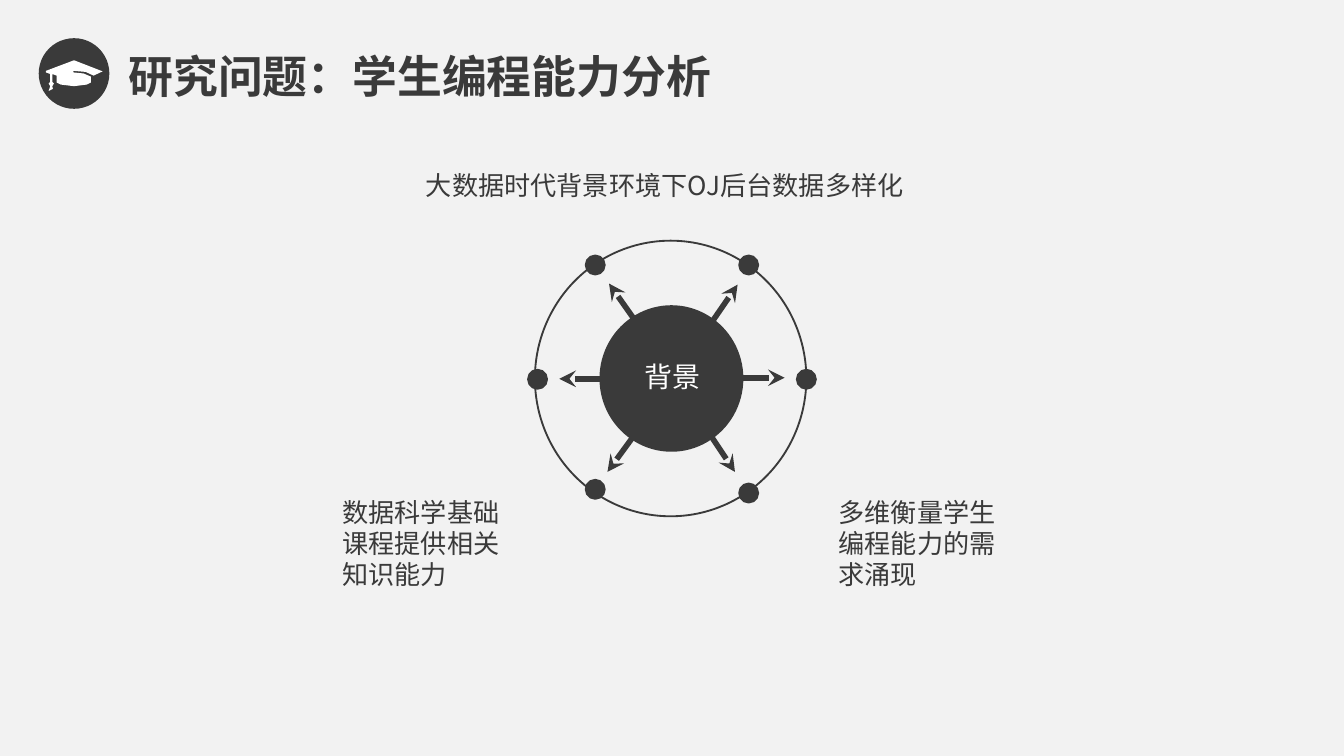
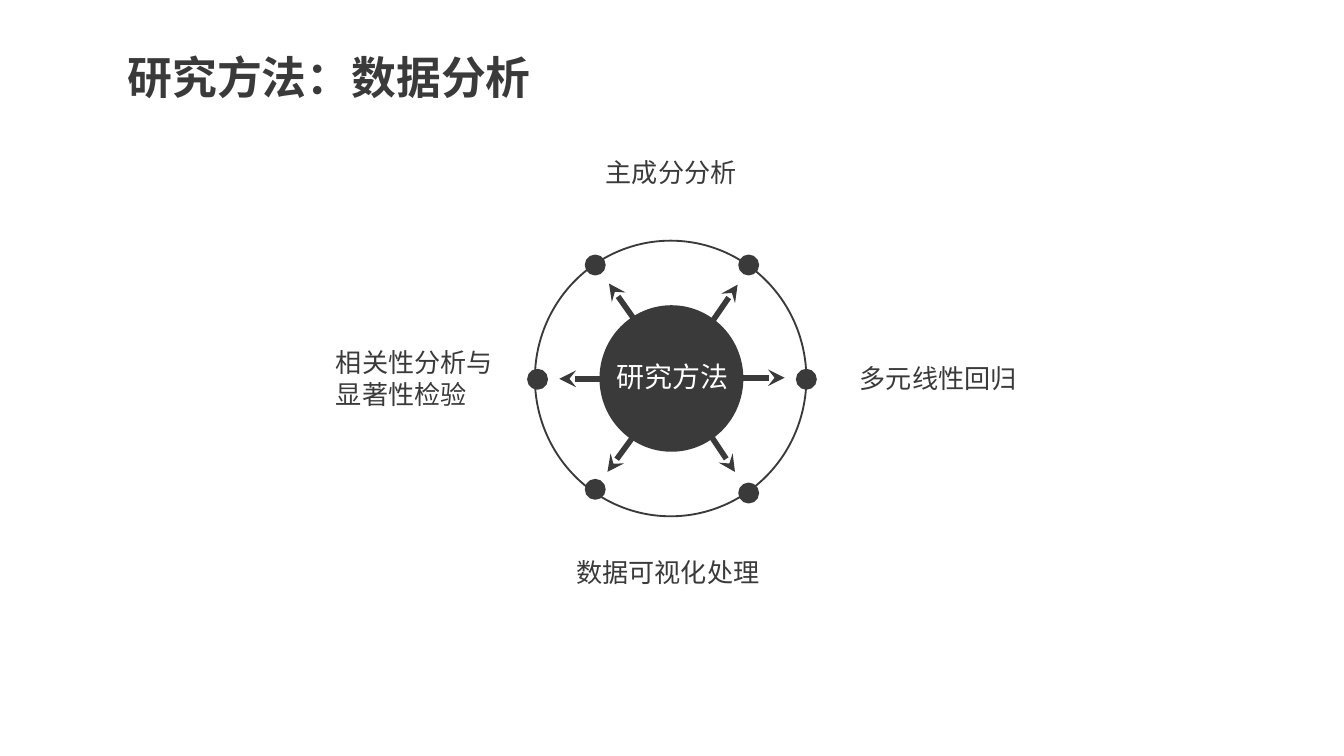
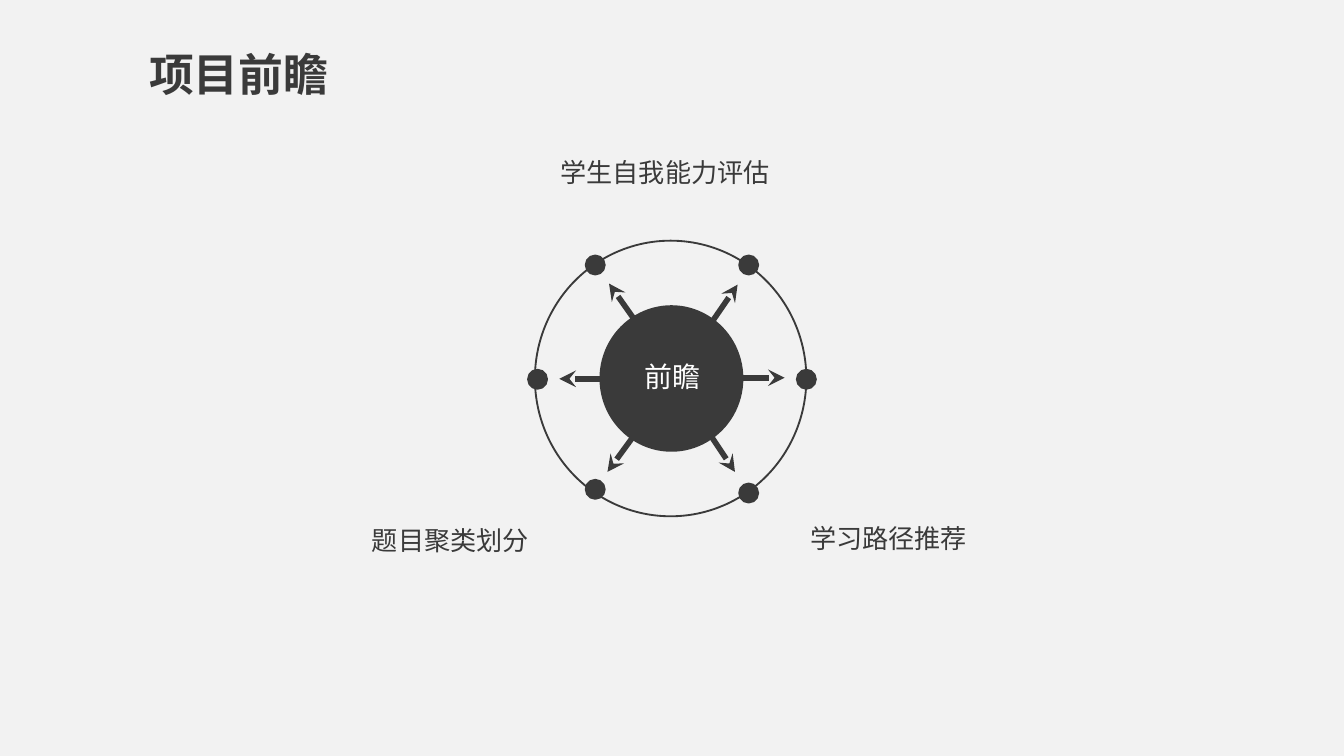
from lxml import etree
from pptx import Presentation
from pptx.dml.color import RGBColor
from pptx.enum.shapes import MSO_CONNECTOR as Link, MSO_SHAPE as Preset
from pptx.enum.text import PP_ALIGN as Align
from pptx.oxml.ns import qn
from pptx.util import Cm, Pt

DARK, PALE, WHITE = "3A3A3A", "F2F2F2", "FFFFFF"
HAN = "Noto Sans CJK SC"
RING = (10.11, 4.55, 5.13, 5.21)
HUB = (11.33, 5.77, 2.72, 2.77)
DOT_SIZE = 0.36
DOTS = [(13.97, 4.83), (11.07, 4.83), (9.98, 6.99),
        (15.06, 6.99), (13.97, 9.14), (11.07, 9.07)]
SPOKES = [(12.73, 7.14, 13.94, 5.38), (12.67, 7.14, 14.83, 7.14),
          (12.73, 7.09, 11.51, 5.36), (12.67, 7.16, 10.57, 7.16),
          (12.73, 7.21, 11.48, 8.92), (12.75, 7.21, 13.89, 8.92)]
CAP = [(87, 134), (140, 114), (194, 135), (177, 143), (162, 136), (139, 134),
       (139, 137), (158, 139), (172, 145), (172, 156), (164, 160), (140, 163),
       (115, 160), (107, 156), (107, 143), (99, 140), (99, 155), (102, 158),
       (99, 163), (100, 168), (92, 172), (95, 163), (92, 158), (95, 155),
       (95, 140), (87, 137)]

SLIDES = [
    (PALE, "研究问题：学生编程能力分析", (2.18, 0.79, 17.5), "背景", [
        ("数据科学基础课程提供相关知识能力", 6.22, 9.25, 3.56, 2.03),
        ("多维衡量学生编程能力的需求涌现", 15.6, 9.25, 3.56, 2.03),
        ("大数据时代背景环境下OJ后台数据多样化", 7.8, 3.07, 9.65, 0.86)]),
    (WHITE, "研究方法：数据分析", (2.16, 0.81, 10.54), "研究方法", [
        ("多元线性回归", 16.0, 6.73, 3.56, 0.86),
        ("相关性分析与显著性检验", 6.1, 6.43, 3.56, 1.45),
        ("主成分分析", 11.2, 2.84, 3.1, 0.86),
        ("数据可视化处理", 10.64, 10.39, 4.1, 0.86)]),
    (PALE, "项目前瞻", (2.57, 0.76, 17.5), "前瞻", [
        ("学习路径推荐", 15.06, 9.75, 3.56, 0.86),
        ("题目聚类划分", 6.78, 9.78, 3.56, 0.86),
        ("学生自我能力评估", 10.34, 2.84, 4.6, 0.86)]),
]


def color(hex_code):
    return RGBColor.from_string(hex_code)


def paint(shape, fill=None, outline=None):
    shape.shadow.inherit = False
    if fill:
        shape.fill.solid()
        shape.fill.fore_color.rgb = color(fill)
    else:
        shape.fill.background()
    if outline:
        shape.line.color.rgb = color(outline)
        shape.line.width = Pt(1)
    else:
        shape.line.fill.background()


def add_circle(slide, box, fill=None, outline=None):
    circle = slide.shapes.add_shape(Preset.OVAL, *map(Cm, box))
    paint(circle, fill, outline)


def add_spoke(slide, ends):
    spoke = slide.shapes.add_connector(Link.STRAIGHT, *map(Cm, ends))
    spoke.line.color.rgb = color(DARK)
    spoke.line.width = Pt(3)
    etree.SubElement(spoke.line._get_or_add_ln(), qn("a:tailEnd"), type="stealth")
    etree.SubElement(spoke._element.spPr, qn("a:effectLst"))


def add_text(slide, text, box, size=14, ink=DARK, font=HAN,
             bold=False, align=Align.LEFT, wrap=True):
    frame = slide.shapes.add_textbox(*map(Cm, box)).text_frame
    frame.word_wrap = wrap
    line = frame.paragraphs[0]
    line.alignment = align
    line.line_spacing = Pt(size * 1.2)
    run = line.add_run()
    run.text = text
    run.font.size = Pt(size)
    run.font.bold = bold
    run.font.name = font
    run.font.color.rgb = color(ink)
    etree.SubElement(run._r.get_or_add_rPr(), qn("a:ea"), typeface=HAN)


def add_title(slide, title, place):
    left, top, width = place
    add_text(slide, title, (left, top, width, 1.27), 24, font="Arial", bold=True)


def add_cap_badge(slide):
    add_circle(slide, (0.75, 0.74, 1.3, 1.3), DARK, DARK)
    outline = slide.shapes.build_freeform(*CAP[0], scale=Cm(0.01))
    outline.add_line_segments(CAP[1:], close=True)
    paint(outline.convert_to_shape(), WHITE)


def add_wheel(slide, topic):
    add_circle(slide, RING, outline=DARK)
    for left, top in DOTS:
        add_circle(slide, (left, top, DOT_SIZE, DOT_SIZE), DARK, DARK)
    for ends in SPOKES:
        add_spoke(slide, ends)
    add_circle(slide, HUB, DARK)
    width = 0.53 * len(topic) + 0.5
    add_text(slide, topic, (12.71 - width / 2, 6.68, width, 0.89), 15, WHITE,
             align=Align.CENTER, wrap=False)


def main():
    deck = Presentation()
    deck.slide_width, deck.slide_height = Cm(25.4), Cm(14.29)
    for number, (backdrop, title, place, topic, notes) in enumerate(SLIDES):
        slide = deck.slides.add_slide(deck.slide_layouts[6])
        slide.background.fill.solid()
        slide.background.fill.fore_color.rgb = color(backdrop)
        if number == 0:
            add_cap_badge(slide)
        add_title(slide, title, place)
        add_wheel(slide, topic)
        for text, *box in notes:
            add_text(slide, text, box)
    deck.save("out.pptx")


if __name__ == "__main__":
    main()
